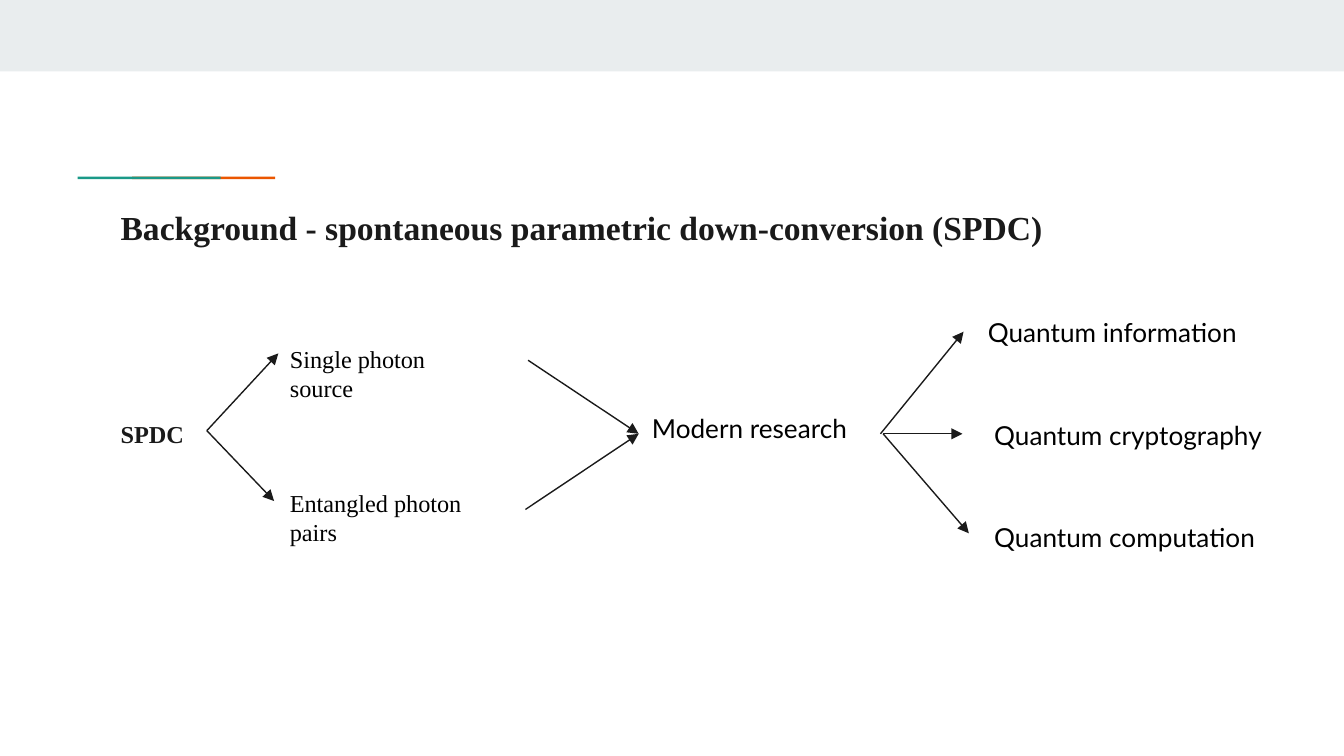
import pptx
import pptx.util
import pptx.dml.color
import pptx.enum.shapes
import pptx.enum.text
import pptx.oxml.ns
import lxml.etree

Cm, Pt = pptx.util.Cm, pptx.util.Pt

THEME = {
    "band": "E9EDEE", "teal": "1A9988", "orange": "EB5600",
    "ink": "1A1A1A", "black": "000000",
    # style: font, size, bold, colour
    "title": ("Times New Roman", 18, True, "ink"),
    "root": ("Times New Roman", 13, True, "ink"),
    "source": ("Times New Roman", 13, False, "black"),
    "field": ("Lato", 14, False, "black"),
}

# Content: key, text, style, left, top, width, height (cm)
FIELD_TOP, FIELD_STEP = 5.74, 1.93
LABELS = [
    ("title", "Background - spontaneous parametric down-conversion (SPDC)",
     "title", 2.03, 3.66, 21.36, 1.5),
    ("spdc", "SPDC", "root", 2.03, 7.67, 1.88, 0.94),
    ("single", "Single photon source", "source", 5.23, 6.25, 4.33, 0.94),
    ("pairs", "Entangled photon pairs", "source", 5.23, 8.97, 4.7, 1.32),
    ("modern", "Modern research", "field", 12.07, 7.54, 4.57, 1.32),
]
FIELDS = [  # text, left, width
    ("Quantum information", 18.42, 5.72),
    ("Quantum cryptography", 18.54, 6.12),
    ("Quantum computation", 18.54, 5.72),
]
LABELS += [(text, text, "field", left, FIELD_TOP + i * FIELD_STEP, width, 0.94)
           for i, (text, left, width) in enumerate(FIELDS)]

# Each end is a point (cm) or a label key with its side
LEFT, RIGHT = 1, 3
FORK = (16.69, 8.2)
ARROWS = [
    (("spdc", RIGHT), (5.26, 6.68)),
    (("spdc", RIGHT), (5.18, 9.47)),
    ((9.98, 6.81), ("modern", LEFT)),
    (("pairs", RIGHT), ("modern", LEFT)),
    (("modern", RIGHT), (18.21, 6.27)),
    (FORK, (18.19, 8.2)),
    (FORK, (18.31, 10.08)),
]


def tint(name):
    return pptx.dml.color.RGBColor.from_string(THEME[name])


def add_bar(slide, name, left, top, width, height):
    bar = slide.shapes.add_shape(pptx.enum.shapes.MSO_SHAPE.RECTANGLE,
                                 Cm(left), Cm(top), Cm(width), Cm(height))
    bar.shadow.inherit = False
    bar.fill.solid()
    bar.fill.fore_color.rgb = tint(name)
    bar.line.fill.background()


def add_label(slide, text, style, left, top, width, height):
    box = slide.shapes.add_textbox(Cm(left), Cm(top), Cm(width), Cm(height))
    frame = box.text_frame
    frame.word_wrap = True
    frame.vertical_anchor = pptx.enum.text.MSO_ANCHOR.TOP
    frame.margin_left = frame.margin_right = Cm(0.25)
    frame.margin_top = frame.margin_bottom = Cm(0.25)
    para = frame.paragraphs[0]
    para.text = text
    font = para.font
    font.name, size, font.bold, ink = THEME[style]
    font.size = Pt(size)
    font.color.rgb = tint(ink)
    return box


def add_arrow(slide, boxes, start, end):
    line = slide.shapes.add_connector(
        pptx.enum.shapes.MSO_CONNECTOR.STRAIGHT, 0, 0, 0, 0)
    if start[0] in boxes:
        line.begin_connect(boxes[start[0]], start[1])
    else:
        line.begin_x, line.begin_y = map(Cm, start)
    if end[0] in boxes:
        line.end_connect(boxes[end[0]], end[1])
    else:
        line.end_x, line.end_y = map(Cm, end)
    line.line.color.rgb = tint("ink")
    line.line.width = Pt(0.75)
    # Arrowhead, and no shadow
    qn = pptx.oxml.ns.qn
    props = line.line._get_or_add_ln()
    lxml.etree.SubElement(props, qn("a:tailEnd"), type="triangle")
    lxml.etree.SubElement(props.getparent(), qn("a:effectLst"))


def main():
    deck = pptx.Presentation()
    deck.slide_width, deck.slide_height = Cm(25.4), Cm(14.29)
    slide = deck.slides.add_slide(deck.slide_layouts[6])

    # Top band and two-colour accent
    add_bar(slide, "band", 0, 0, 25.4, 1.35)
    add_bar(slide, "orange", 2.5, 3.34, 2.7, 0.05)
    add_bar(slide, "teal", 1.47, 3.34, 2.7, 0.05)

    # Labels, then the arrows between them
    boxes = {key: add_label(slide, *rest) for key, *rest in LABELS}
    for start, end in ARROWS:
        add_arrow(slide, boxes, start, end)

    deck.save("out.pptx")


if __name__ == "__main__":
    main()
